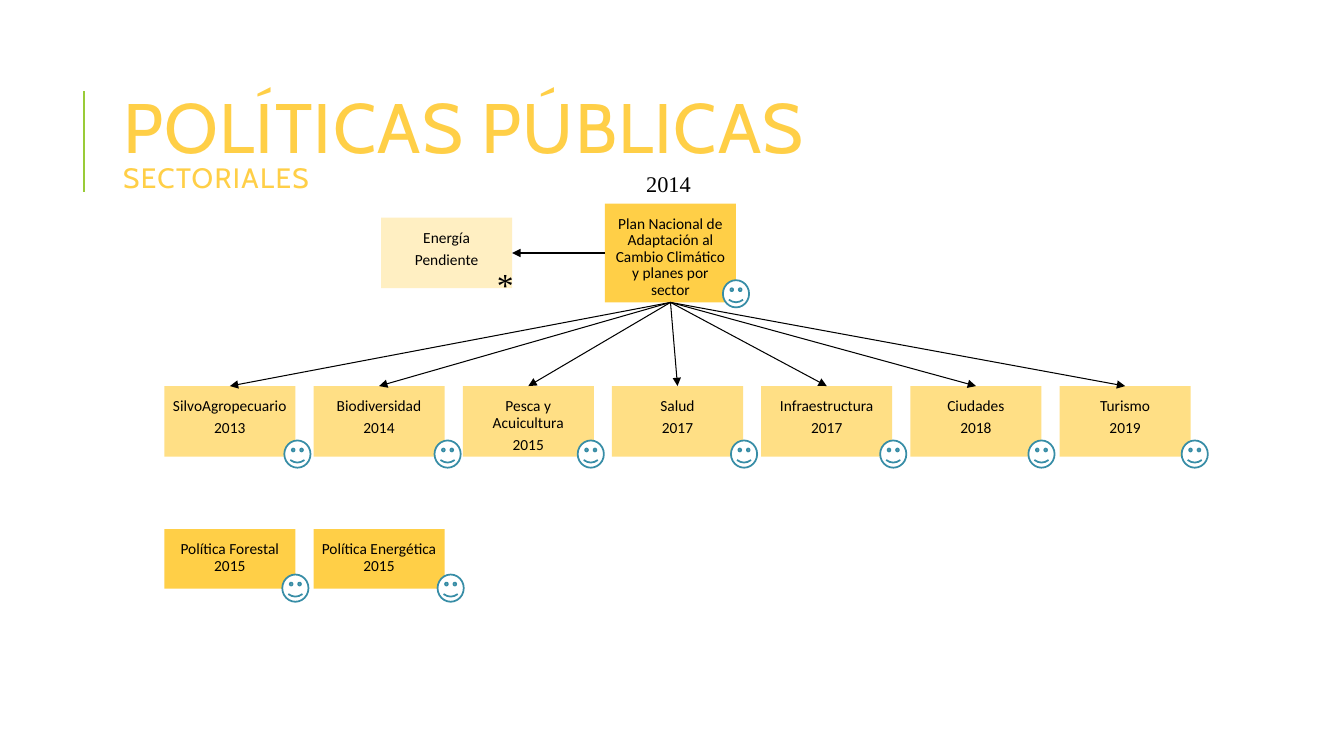
from lxml.etree import SubElement
from pptx import Presentation
from pptx.dml.color import RGBColor
from pptx.enum.shapes import MSO_CONNECTOR, MSO_SHAPE
from pptx.enum.text import MSO_ANCHOR, PP_ALIGN
from pptx.oxml.ns import qn
from pptx.util import Inches, Pt

COLORS = {
    "gold": "FFCF47", "sector": "FFDF85", "pending": "FFEFC2", "green": "99CB38",
    "face": "378DA6", "white": "FFFFFF", "black": "000000",
}
TITLE = [("POLÍTICAS PÚBLICAS", 50), ("SECTORIALES", 20)]
PLAN = ["Plan Nacional de Adaptación al Cambio Climático y planes por sector"]
PENDING = ["Energía", "Pendiente"]
# Paragraphs of each box and the left edge of its smiley
SECTORS = [
    (["SilvoAgropecuario", "2013"], 2.82),
    (["Biodiversidad", "2014"], 4.31),
    (["Pesca y Acuicultura", "2015"], 5.73),
    (["Salud", "2017"], 7.25),
    (["Infraestructura", "2017"], 8.73),
    (["Ciudades", "2018"], 10.2),
    (["Turismo", "2019"], 11.72),
]
POLICIES = [(["Política Forestal 2015"], 2.8), (["Política Energética 2015"], 4.34)]

BOX_WIDTH, BOX_LEFT, BOX_PITCH = 1.3, 1.63, 1.48
SECTOR_TOP, SECTOR_HEIGHT = 3.83, 0.7
POLICY_TOP, POLICY_HEIGHT = 5.25, 0.59


def color(name):
    return RGBColor.from_string(COLORS[name])


def write_text(paragraph, text, size, font="Calibri", fill="black"):
    run = paragraph.add_run()
    run.text = text
    run.font.size = Pt(size)
    run.font.name = font
    run.font.color.rgb = color(fill)
    return run


def add_box(slide, texts, left, top, height, fill):
    box = slide.shapes.add_shape(MSO_SHAPE.RECTANGLE, Inches(left), Inches(top),
                                 Inches(BOX_WIDTH), Inches(height))
    box.shadow.inherit = False
    box.fill.solid()
    box.fill.fore_color.rgb = color(fill)
    box.line.fill.background()
    frame = box.text_frame
    frame.word_wrap = True
    frame.vertical_anchor = MSO_ANCHOR.TOP
    frame.margin_left = frame.margin_right = Inches(0.08)
    frame.margin_top, frame.margin_bottom = Inches(0.12), 0
    for index, text in enumerate(texts):
        paragraph = frame.add_paragraph() if index else frame.paragraphs[0]
        paragraph.alignment = PP_ALIGN.CENTER
        paragraph.line_spacing = 0.9
        paragraph.space_after = Pt(3.85)
        write_text(paragraph, text, 11)
    return box


def add_smiley(slide, left, top):
    smiley = slide.shapes.add_shape(MSO_SHAPE.SMILEY_FACE, Inches(left), Inches(top),
                                    Inches(0.26), Inches(0.27))
    smiley.shadow.inherit = False
    smiley.fill.solid()
    smiley.fill.fore_color.rgb = color("white")
    smiley.line.color.rgb = color("face")
    smiley.line.width = Pt(1.25)


def add_line(slide, start, end, fill, width):
    line = slide.shapes.add_connector(MSO_CONNECTOR.STRAIGHT,
                                      *[Inches(value) for value in start + end])
    line.line.color.rgb = color(fill)
    line.line.width = Pt(width)
    SubElement(line._element.spPr, qn("a:effectLst"))
    return line


def add_arrow(slide, source, source_side, target, target_side):
    arrow = add_line(slide, (0, 0), (1, 1), "black", 0.75)
    arrow.begin_connect(source, source_side)
    arrow.end_connect(target, target_side)
    SubElement(arrow.line._get_or_add_ln(), qn("a:tailEnd"), type="triangle")


def add_label(slide, text, left, top, width, height, size):
    label = slide.shapes.add_textbox(Inches(left), Inches(top), Inches(width), Inches(height))
    label.text_frame.word_wrap = True
    write_text(label.text_frame.paragraphs[0], text, size, font="Times New Roman")


def add_title(slide):
    title = slide.shapes.title
    title.left, title.top = Inches(1.12), Inches(0.64)
    title.width, title.height = Inches(10.63), Inches(1.64)
    title.text_frame.word_wrap = True
    title.text_frame.vertical_anchor = MSO_ANCHOR.MIDDLE
    paragraph = title.text_frame.paragraphs[0]
    paragraph.alignment = PP_ALIGN.LEFT
    paragraph.line_spacing = 0.8
    for index, (text, size) in enumerate(TITLE):
        if index:
            paragraph.add_line_break()
        run = write_text(paragraph, text, size, font="Cabin", fill="gold")
        run.font._element.set("spc", "100")


def main():
    presentation = Presentation()
    presentation.slide_width, presentation.slide_height = Inches(13.33), Inches(7.5)
    slide = presentation.slides.add_slide(presentation.slide_layouts[5])

    add_line(slide, (0.83, 1.9), (0.83, 0.9), "green", 1.5)
    add_title(slide)
    plan = add_box(slide, PLAN, 6, 2.02, 0.98, "gold")
    add_label(slide, "2014", 6.31, 1.64, 1.29, 0.37, 16)
    pending = add_box(slide, PENDING, 3.78, 2.16, SECTOR_HEIGHT, "pending")
    add_arrow(slide, plan, 1, pending, 3)

    for index, (texts, smiley_left) in enumerate(SECTORS):
        sector = add_box(slide, texts, BOX_LEFT + index * BOX_PITCH, SECTOR_TOP,
                         SECTOR_HEIGHT, "sector")
        add_arrow(slide, plan, 2, sector, 0)
        add_smiley(slide, smiley_left, SECTOR_TOP + 0.54)
    for index, (texts, smiley_left) in enumerate(POLICIES):
        add_box(slide, texts, BOX_LEFT + index * BOX_PITCH, POLICY_TOP, POLICY_HEIGHT, "gold")
        add_smiley(slide, smiley_left, POLICY_TOP + 0.45)

    add_smiley(slide, 7.17, 2.78)
    add_label(slide, "*", 4.83, 2.57, 0.78, 0.5, 24)
    presentation.save("out.pptx")


if __name__ == "__main__":
    main()
